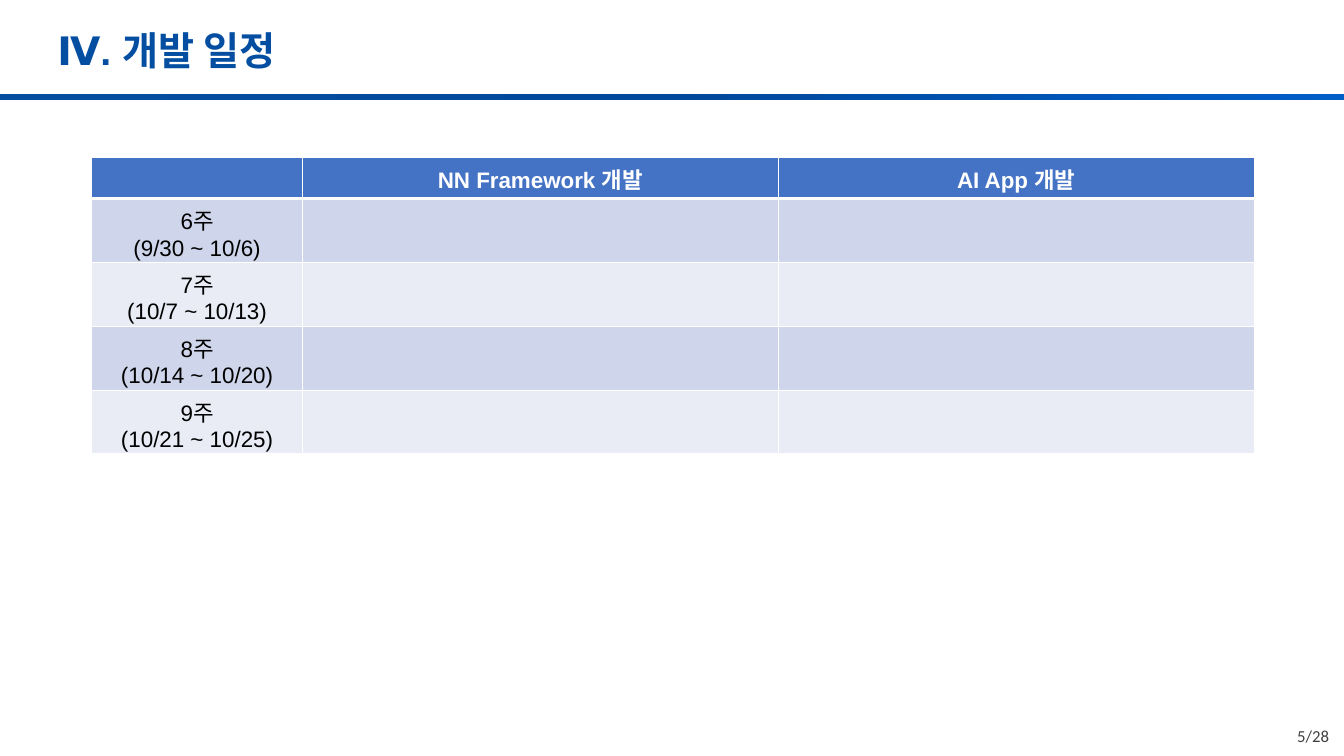
from copy import deepcopy
from pptx import Presentation
from pptx.dml.color import RGBColor
from pptx.enum.shapes import MSO_SHAPE
from pptx.enum.text import MSO_ANCHOR, MSO_AUTO_SIZE, PP_ALIGN
from pptx.oxml import parse_xml
from pptx.oxml.ns import nsdecls, qn
from pptx.util import Inches, Pt

TITLE = "Ⅳ. 개발 일정"
PAGE = "5/28"
ROWS = [
    ("", "NN Framework 개발", "AI App 개발"),
    ("6주\n(9/30 ~ 10/6)", "", ""),
    ("7주\n(10/7 ~ 10/13)", "", ""),
    ("8주\n(10/14 ~ 10/20)", "", ""),
    ("9주\n(10/21 ~ 10/25)", "", ""),
]
COLS = [2.09, 4.72, 4.72]
HEAD_H, BODY_H = 0.41, 0.63
HEAD, BANDS = "4472C4", ("CFD5EA", "E9EBF5")
WHITE, BLACK, GRAY, BLUE = "FFFFFF", "000000", "404040", "044EA2"
STOPS = [(0, BLUE), (0.5, "00489B"), (1, "005EC8")]


def color(code):
    return RGBColor.from_string(code)


def write(frame, text, size, font, code, bold=False, align=PP_ALIGN.LEFT):
    frame.text = text
    for para in frame.paragraphs:
        para.alignment = align
        for run in para.runs:
            run.font.size = Pt(size)
            run.font.name = font
            run.font.bold = bold
            run.font.color.rgb = color(code)


def add_text(slide, box, *style, **more):
    frame = slide.shapes.add_textbox(*map(Inches, box)).text_frame
    frame.word_wrap = True
    write(frame, *style, **more)
    return frame


def add_bar(slide):
    box = (0, 0.93, 13.33, 0.06)
    bar = slide.shapes.add_shape(MSO_SHAPE.RECTANGLE, *map(Inches, box))
    bar.shadow.inherit = False
    bar.line.fill.background()
    bar.fill.gradient()
    bar.fill.gradient_angle = 0
    marks = bar.element.spPr.find(".//" + qn("a:gsLst"))
    marks.insert(1, deepcopy(marks[0]))
    for stop, (place, code) in zip(bar.fill.gradient_stops, STOPS):
        stop.position = place
        stop.color.rgb = color(code)


def add_edges(cell, row):
    widths = {"L": 1, "R": 1, "T": 3 if row == 1 else 1, "B": 3 if row == 0 else 1}
    props = cell._tc.get_or_add_tcPr()
    for spot, (side, width) in enumerate(widths.items()):
        props.insert(spot, parse_xml(
            f'<a:ln{side} {nsdecls("a")} w="{Pt(width)}"><a:solidFill>'
            f'<a:srgbClr val="{WHITE}"/></a:solidFill></a:ln{side}>'))


def add_plan(slide):
    heights = [HEAD_H] + [BODY_H] * (len(ROWS) - 1)
    box = (0.91, 1.56, sum(COLS), sum(heights))
    table = slide.shapes.add_table(len(ROWS), len(COLS), *map(Inches, box)).table
    for col, width in zip(table.columns, COLS):
        col.width = Inches(width)
    for r, (texts, height) in enumerate(zip(ROWS, heights)):
        table.rows[r].height = Inches(height)
        top = r == 0
        for c, text in enumerate(texts):
            cell = table.cell(r, c)
            cell.fill.solid()
            cell.fill.fore_color.rgb = color(HEAD if top else BANDS[(r - 1) % 2])
            cell.vertical_anchor = MSO_ANCHOR.MIDDLE
            add_edges(cell, r)
            if text:
                write(cell.text_frame, text, 16, "Arial", WHITE if top else BLACK,
                      bold=top, align=PP_ALIGN.CENTER)


def main():
    deck = Presentation()
    deck.slide_width, deck.slide_height = Inches(13.33), Inches(7.5)
    slide = deck.slides.add_slide(deck.slide_layouts[6])
    add_bar(slide)
    title = add_text(slide, (0.47, 0.21, 5.22, 0.57), TITLE, 28, "Arial", BLUE, bold=True)
    title.auto_size = MSO_AUTO_SIZE.SHAPE_TO_FIT_TEXT
    page = add_text(slide, (12.39, 7.14, 0.89, 0.32), PAGE, 12, "Calibri", GRAY,
                    align=PP_ALIGN.RIGHT)
    page.vertical_anchor = MSO_ANCHOR.MIDDLE
    add_plan(slide)
    deck.save("out.pptx")


if __name__ == "__main__":
    main()
